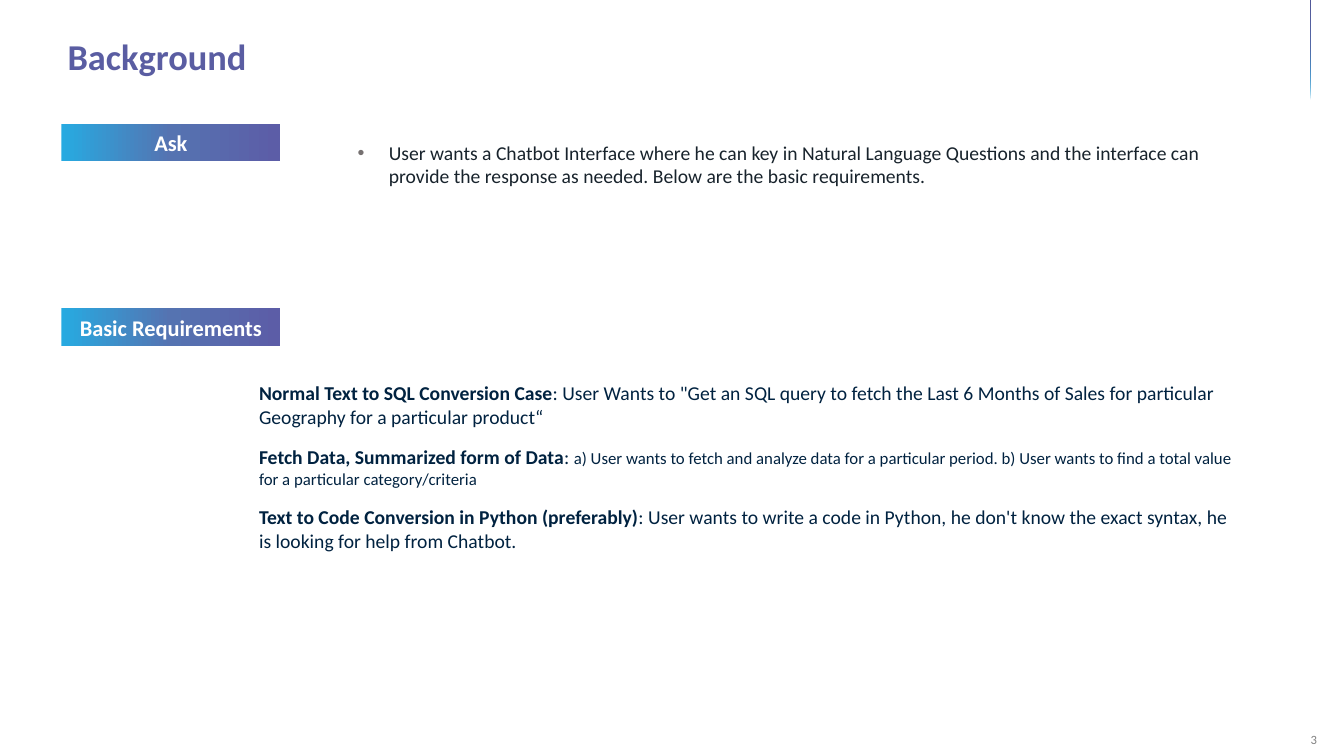
from lxml import etree
from pptx import Presentation
from pptx.dml.color import RGBColor
from pptx.enum.shapes import MSO_SHAPE
from pptx.enum.text import MSO_ANCHOR, PP_ALIGN
from pptx.oxml.ns import qn
from pptx.util import Inches, Pt

RECT, ROUNDED = MSO_SHAPE.RECTANGLE, MSO_SHAPE.ROUNDED_RECTANGLE
LEFT, CENTER = PP_ALIGN.LEFT, PP_ALIGN.CENTER
MIDDLE = MSO_ANCHOR.MIDDLE
FONT = "Calibri"
WHITE, NAVY, INK, GRAY, PURPLE = "FFFFFF", "002240", "18232C", "808080", "5A5DA2"
LABEL_STOPS = [(0, "27AAE1"), (50, "5573B1"), (99, "5C5DA7")]
STRIPE_STOPS = [(0, "32A7DA"), (53, PURPLE), (100, "505290")]

# Each stripe: straight edge points, then the two curves of its rounded end
STRIPES = [
    ([(13.33, 0.41), (13.33, 0.55), (13.19, 0.72)],
     [[(13.18, 0.73), (13.15, 0.74), (13.13, 0.72)],
      [(13.11, 0.71), (13.11, 0.68), (13.13, 0.66)]]),
    ([(13.33, 0.11), (13.33, 0.25), (13.13, 0.49)],
     [[(13.12, 0.51), (13.09, 0.51), (13.07, 0.5)],
      [(13.06, 0.48), (13.05, 0.45), (13.07, 0.43)]]),
    ([(13.18, 0), (13.29, 0), (13.17, 0.15)],
     [[(13.15, 0.17), (13.13, 0.17), (13.11, 0.16)],
      [(13.09, 0.14), (13.09, 0.11), (13.1, 0.1)]]),
]

ASK = ("User wants a Chatbot Interface where he can key in Natural Language Questions "
       "and the interface can provide the response as needed. Below are the basic requirements.")

# Heading, detail, size of the detail
REQUIREMENTS = [
    ("Normal Text to SQL Conversion Case",
     "User Wants to \"Get an SQL query to fetch the Last 6 Months of Sales for "
     "particular Geography for a particular product“", 14),
    ("Fetch Data, Summarized form of Data",
     "a) User wants to fetch and analyze data for a particular period. "
     "b) User wants to find a total value for a particular category/criteria", 12),
    ("Text to Code Conversion in Python (preferably)",
     "User wants to write a code in Python, he don't know the exact syntax, "
     "he is looking for help from Chatbot.", 14),
]


def rgb(color):
    return RGBColor.from_string(color)


def add_text(p, text, size=14, color=NAVY, bold=False, align=LEFT):
    p.alignment = align
    r = p.add_run()
    r.text = text
    r.font.name, r.font.size, r.font.bold = FONT, Pt(size), bold
    r.font.color.rgb = rgb(color)


def set_gradient(sp, stops, angle):
    """Fill with any number of stops; the angle runs clockwise in degrees."""
    sp.fill.gradient()
    grad = sp.fill._xPr.find(qn("a:gradFill"))
    for child in list(grad):
        grad.remove(child)
    stop_list = etree.SubElement(grad, qn("a:gsLst"))
    for position, color in stops:
        stop = etree.SubElement(stop_list, qn("a:gs"), pos=str(position * 1000))
        etree.SubElement(stop, qn("a:srgbClr"), val=color)
    etree.SubElement(grad, qn("a:lin"), ang=str(angle * 60000), scaled="0")


def add_box(s, kind, left, top, width, height):
    sp = s.shapes.add_shape(kind, Inches(left), Inches(top), Inches(width), Inches(height))
    sp.shadow.inherit = False
    sp.line.fill.background()
    sp.text_frame.word_wrap = True
    sp.text_frame.vertical_anchor = MIDDLE
    return sp


def add_panel(s, top, height):
    sp = add_box(s, ROUNDED, 2.43, top, 10.04, height)
    sp.adjustments[0] = 0.052
    sp.fill.solid()
    sp.fill.fore_color.rgb = rgb(WHITE)
    return sp.text_frame


def add_label(s, top, text):
    sp = add_box(s, RECT, 0.61, top, 2.17, 0.37)
    set_gradient(sp, LABEL_STOPS, 0)
    add_text(sp.text_frame.paragraphs[0], text, size=16, color=WHITE, bold=True, align=CENTER)


def set_bullet(p, indent, hanging, color):
    pPr = p._p.get_or_add_pPr()
    pPr.set("marL", str(Inches(indent)))
    pPr.set("indent", str(-Inches(hanging)))
    bullet_color = etree.SubElement(pPr, qn("a:buClr"))
    etree.SubElement(bullet_color, qn("a:srgbClr"), val=color)
    etree.SubElement(pPr, qn("a:buFont"), typeface="Arial")
    etree.SubElement(pPr, qn("a:buChar"), char="•")


def curve_points(start, controls, steps=6):
    points = [start, *controls]
    for i in range(1, steps + 1):
        t = i / steps
        weights = [(1 - t) ** 3, 3 * t * (1 - t) ** 2, 3 * t * t * (1 - t), t ** 3]
        yield tuple(sum(w * pt[axis] for w, pt in zip(weights, points)) for axis in (0, 1))


def add_stripes(s):
    builder = None
    for edge, curves in STRIPES:
        outline = list(edge)
        for controls in curves:
            outline.extend(curve_points(outline[-1], controls))
        if builder is None:
            builder = s.shapes.build_freeform(*outline[0], scale=Inches(1))
        else:
            builder.move_to(*outline[0])
        builder.add_line_segments(outline[1:], close=True)
    sp = builder.convert_to_shape()
    sp.shadow.inherit = False
    sp.line.fill.background()
    set_gradient(sp, STRIPE_STOPS, 315)


def add_title(s, text):
    title = s.shapes.title
    title.left, title.top = Inches(0.67), Inches(0.33)
    title.width, title.height = Inches(12), Inches(0.44)
    tf = title.text_frame
    tf.margin_left = tf.margin_right = tf.margin_top = tf.margin_bottom = 0
    tf.vertical_anchor = MIDDLE
    add_text(tf.paragraphs[0], text, size=26, color=PURPLE, bold=True)


def add_page_number(s, number):
    tf = s.shapes.add_textbox(Inches(12.77), Inches(7.25), Inches(0.52), Inches(0.17)).text_frame
    tf.word_wrap = True
    tf.vertical_anchor = MIDDLE
    add_text(tf.paragraphs[0], number, size=9, color=GRAY, align=CENTER)


def add_requirements(tf):
    for i, (heading, detail, size) in enumerate(REQUIREMENTS):
        p = tf.add_paragraph() if i else tf.paragraphs[0]
        p.space_before, p.space_after = Pt(6 if i else 0), Pt(6)
        add_text(p, heading, bold=True)
        add_text(p, ": ")
        add_text(p, detail, size=size)


def main():
    prs = Presentation()
    prs.slide_width, prs.slide_height = Inches(13.33), Inches(7.5)
    s = prs.slides.add_slide(prs.slide_layouts[5])

    # Frame of the slide
    add_stripes(s)
    add_page_number(s, "3")
    add_title(s, "Background")

    # Ask
    p = add_panel(s, 1.34, 0.58).paragraphs[0]
    set_bullet(p, 1.32, 0.31, "767171")
    add_text(p, ASK, color=INK)
    add_label(s, 1.23, "Ask")

    # Basic requirements
    add_requirements(add_panel(s, 3.28, 2.7))
    add_label(s, 3.06, "Basic Requirements")

    prs.save("out.pptx")


if __name__ == "__main__":
    main()
